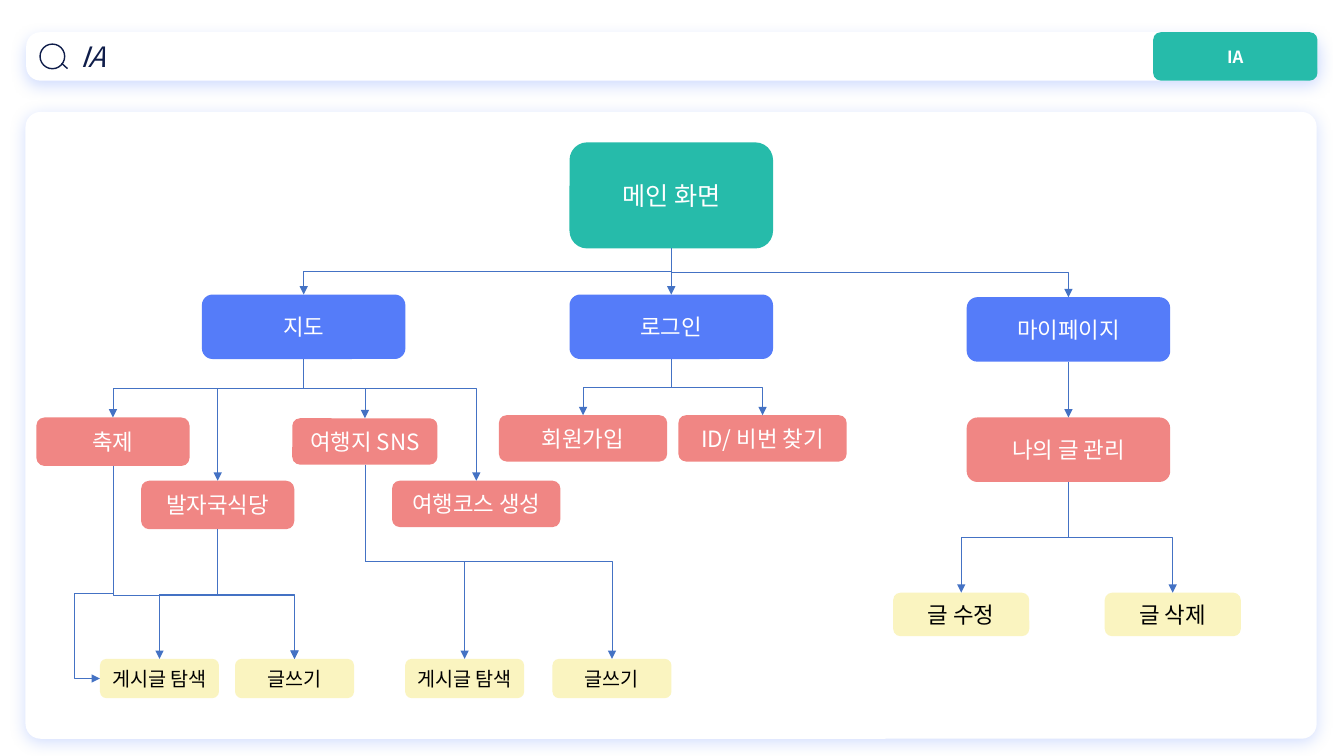
from pptx import Presentation
from pptx.dml.color import RGBColor
from pptx.enum.shapes import MSO_CONNECTOR as LINK, MSO_SHAPE as SHAPE
from pptx.enum.text import MSO_ANCHOR as ANCHOR, PP_ALIGN as ALIGN
from pptx.oxml.ns import qn
from pptx.util import Pt
from lxml.etree import SubElement

COLORS = {
    "white": "FFFFFF", "black": "000000", "navy": "0F1D4A", "teal": "26BBAA",
    "blue": "557CF9", "coral": "F08684", "cream": "FAF4C0",
    "link": "4472C4", "glow": "8FACFC",
}


class SiteMap:
    def __init__(self, slide, font):
        self.slide = slide
        self.font = font

    def color(self, name):
        return RGBColor.from_string(COLORS[name])

    def box(self, left, top, width, height, fill, corner=0.1667):
        box = self.slide.shapes.add_shape(
            SHAPE.ROUNDED_RECTANGLE, Pt(left), Pt(top), Pt(width), Pt(height))
        box.adjustments[0] = corner
        box.shadow.inherit = False
        box.fill.solid()
        box.fill.fore_color.rgb = self.color(fill)
        box.line.fill.background()
        return box

    def panel(self, left, top, width, height, corner):
        panel = self.box(left, top, width, height, "white", corner)
        effects = panel._element.spPr.find(qn("a:effectLst"))
        glow = SubElement(effects, qn("a:outerShdw"), blurRad=str(Pt(11)),
                          dist=str(Pt(3)), dir="5400000", algn="t", rotWithShape="0")
        tint = SubElement(glow, qn("a:srgbClr"), val=COLORS["glow"])
        SubElement(tint, qn("a:alpha"), val="40000")
        return panel

    def label(self, box, text, size, color, align=ALIGN.CENTER, bold=False, italic=False):
        frame = box.text_frame
        frame.word_wrap = True
        frame.vertical_anchor = ANCHOR.MIDDLE
        frame.text = text
        paragraph = frame.paragraphs[0]
        paragraph.alignment = align
        run = paragraph.runs[0]
        run.font.size = Pt(size)
        run.font.bold = bold
        run.font.italic = italic
        run.font.color.rgb = self.color(color)
        run.font.name = self.font
        SubElement(run.font._element, qn("a:ea"), typeface=self.font)
        return paragraph

    def page(self, text, left, top, size, fill, points=16, color="white"):
        page = self.box(left, top, *size, fill)
        self.label(page, text, points, color)
        return page

    def connector(self, kind, ends, color, width, arrow=True):
        connector = self.slide.shapes.add_connector(kind, *(round(end) for end in ends))
        connector.line.color.rgb = self.color(color)
        connector.line.width = Pt(width)
        if arrow:
            SubElement(connector.line._ln, qn("a:tailEnd"), type="triangle")
        SubElement(connector._element.spPr, qn("a:effectLst"))
        return connector

    def elbow(self, start, end, bends):
        (x1, y1), (x2, y2) = start, end
        if abs(x2 - x1) < Pt(1):
            return self.connector(LINK.STRAIGHT, (x1, y1, x1, y2), "link", 0.5)
        mid_x, mid_y = (x1 + x2) / 2, (y1 + y2) / 2
        reach, spread = (y2 - y1) / 2, abs(x2 - x1) / 2
        ends = (mid_x - reach, mid_y - spread, mid_x + reach, mid_y + spread)
        elbow = self.connector(LINK.ELBOW, ends, "link", 0.5)
        frame = elbow._element.spPr.find(qn("a:xfrm"))
        if x2 < x1:
            frame.set("rot", "5400000")
        else:
            frame.set("rot", "16200000")
            frame.set("flipH", "1")
        outline = elbow._element.spPr.find(qn("a:prstGeom"))
        outline.set("prst", f"bentConnector{len(bends) + 2}")
        guides = outline.find(qn("a:avLst"))
        for number, bend in enumerate(bends, 1):
            SubElement(guides, qn("a:gd"), name=f"adj{number}",
                       fmla=f"val {round(bend * 100000)}")
        return elbow

    def branch(self, parent, child, bend=0.5):
        start = parent.left + parent.width / 2, parent.top + parent.height
        self.elbow(start, (child.left + child.width / 2, child.top), [bend])

    def side_branch(self, parent, child, *bends):
        start = parent.left + parent.width / 2, parent.top + parent.height
        self.elbow(start, (child.left, child.top + child.height / 2), bends)

    def search_icon(self):
        lens = self.slide.shapes.add_shape(SHAPE.OVAL, Pt(28.6), Pt(31.5), Pt(17.6), Pt(17.6))
        lens.shadow.inherit = False
        lens.fill.background()
        lens.line.color.rgb = self.color("navy")
        lens.line.width = Pt(1)
        handle = [Pt(value) for value in (44, 45.2, 48.2, 49)]
        self.connector(LINK.STRAIGHT, handle, "navy", 1, arrow=False)


def main():
    deck = Presentation()
    deck.slide_width, deck.slide_height = Pt(960), Pt(540)
    site = SiteMap(deck.slides.add_slide(deck.slide_layouts[6]), "Noto Sans CJK KR")

    search_bar = site.panel(18.7, 23, 922.3, 34.6, 0.292)
    title = site.label(search_bar, "IA", 20, "navy", ALIGN.LEFT, italic=True)
    title._p.get_or_add_pPr().set("marL", str(Pt(28.8)))
    site.search_icon()
    tab = site.box(823.7, 23, 117.4, 34.6, "teal", 0.161)
    site.label(tab, "IA", 12, "white", bold=True)
    site.panel(18.2, 79.9, 922.3, 447.8, 0.024)

    section, place, feature = (145.4, 46.1), (109.4, 34.6), (120.2, 33.1)
    home = site.page("메인 화면", 406.8, 101.7, (145.4, 75.8), "teal", 18)
    map_page = site.page("지도", 144.2, 210.4, section, "blue")
    login = site.page("로그인", 406.8, 210.4, section, "blue")
    my_page = site.page("마이페이지", 690.5, 212.3, section, "blue")

    festival = site.page("축제", 26, 298.2, place, "coral")
    diner = site.page("발자국식당", 100.8, 343.4, place, "coral")
    travel_sns = site.page("여행지 SNS", 208.8, 298.8, (103.7, 33.1), "coral")
    course = site.page("여행코스 생성", 280.1, 343.4, feature, "coral")
    sign_up = site.page("회원가입", 356.4, 296.6, feature, "coral")
    find_id = site.page("ID/ 비번 찾기", 484.6, 296.6, feature, "coral")
    my_posts = site.page("나의 글 관리", 690.5, 298.2, section, "coral")

    edit, delete = (
        site.page(text, left, 423.4, (97.2, 31), "cream", 16, "black")
        for text, left in (("글 수정", 638), ("글 삭제", 789.1)))
    browse, write, sns_browse, sns_write = (
        site.page(text, left, 470.6, (85, 28.1), "cream", 14, "black")
        for text, left in (("게시글 탐색", 71.4), ("글쓰기", 167.9),
                           ("게시글 탐색", 289.4), ("글쓰기", 394.6)))

    tree = (
        (home, (map_page, login, my_page)),
        (map_page, (festival, travel_sns)),
        (login, (sign_up, find_id)),
        (my_page, (my_posts,)),
        (my_posts, (edit, delete)),
        (diner, (browse, write)),
        (travel_sns, (sns_browse, sns_write)),
    )
    for parent, children in tree:
        for child in children:
            site.branch(parent, child)
    for child in (diner, course):
        site.branch(map_page, child, 0.24)
    site.branch(festival, write, 0.67)
    site.side_branch(festival, browse, 0.6, 2.98)

    deck.save("out.pptx")


if __name__ == "__main__":
    main()
